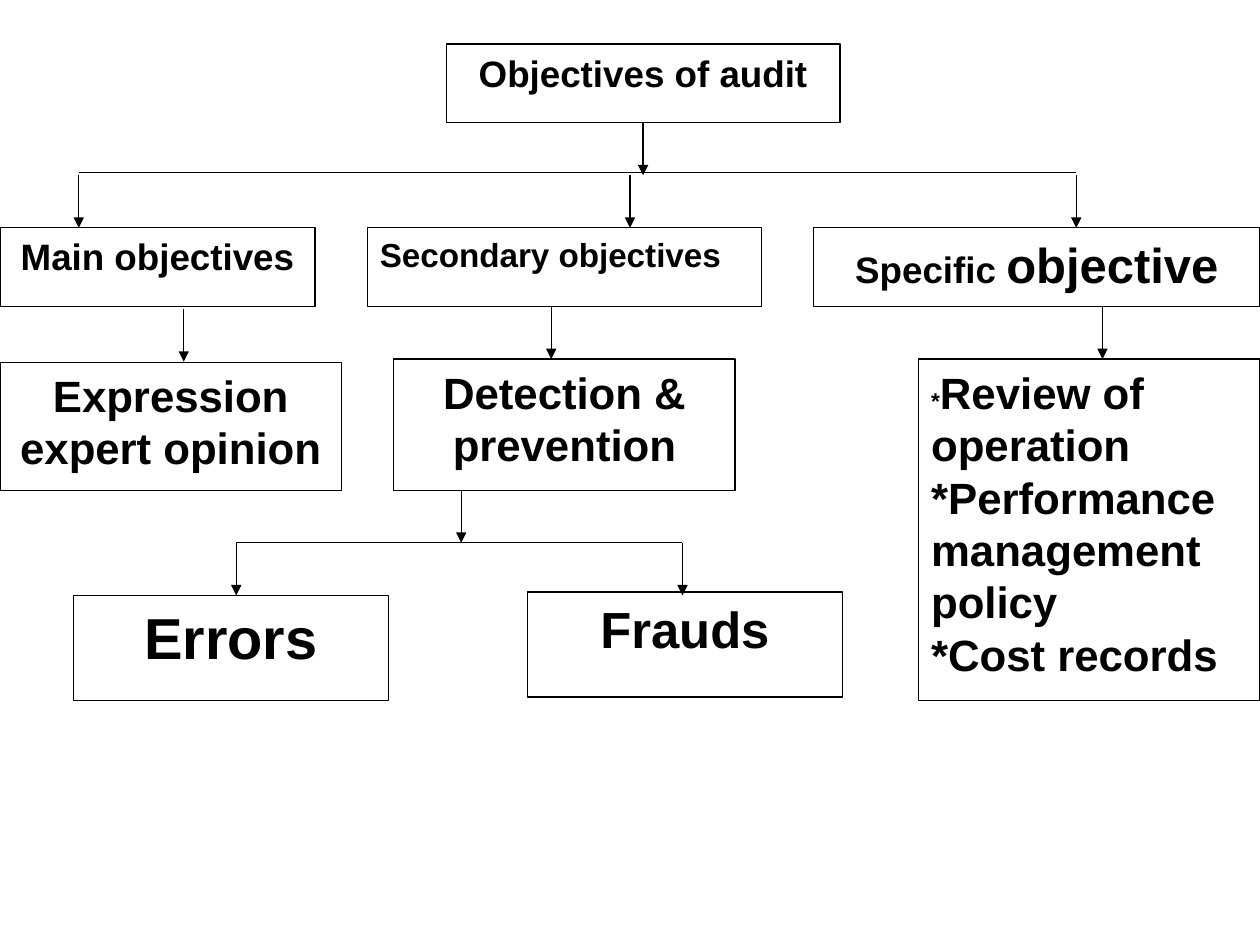
from lxml import etree
from pptx import Presentation
from pptx.dml.color import RGBColor
from pptx.enum.shapes import MSO_CONNECTOR, MSO_SHAPE
from pptx.enum.text import MSO_ANCHOR, PP_ALIGN
from pptx.oxml.ns import qn
from pptx.util import Inches, Pt

LEFT, CENTER = PP_ALIGN.LEFT, PP_ALIGN.CENTER
BOTTOM_SIDE = 2
COLORS = {"ink": "000000", "paper": "FFFFFF"}
FONT = "Arial"
LINE_WIDTH = 0.75

WIDTH, HEIGHT = 10, 7.5
UNIT = WIDTH / 48      # square grid, 48 columns across the slide
TOP = 0.35             # row 0 of the grid

# name: (column, row, columns wide, rows high), alignment, paragraphs of (text, size)
BOXES = {
    "title": ((17, 0, 15, 3), CENTER, [[("Objectives of audit", 21)]]),
    "secondary": ((14, 7, 15, 3), LEFT, [[("Secondary objectives", 19)]]),
    "main": ((0, 7, 12, 3), CENTER, [[("Main objectives", 21)]]),
    "detection": ((15, 12, 13, 5), CENTER, [[("Detection & prevention", 25)]]),
    "review": ((35, 12, 13, 13), LEFT, [
        [("*", 13), ("Review of operation", 25)],
        [("*Performance management policy", 25)],
        [("*Cost records", 25)],
    ]),
    "frauds": ((20.1, 20.87, 12, 4), CENTER, [[("Frauds", 29)]]),
    "errors": ((2.8, 21, 12, 4), CENTER, [[("Errors", 33)]]),
    "specific": ((31, 7, 17, 3), CENTER, [[("Specific ", 21), ("objective", 28)]]),
    "opinion": ((0, 12.13, 13, 4.87), CENTER, [[("Expression expert opinion", 25)]]),
}

# (column, first row, last row), pointing down
ARROWS = [
    (3, 5, 7), (24, 5, 7), (41, 5, 7),
    (21, 10, 12), (7, 10.1, 12.1), (42, 10, 12),
    (9, 19, 21), (26, 19, 21), (17.57, 17, 19),
]
TITLE_ARROW = (24.5, 3, 5)

# (first column, last column, row)
BRANCHES = [(3, 41, 4.9), (9, 26, 19)]


def across(column):
    return Inches(column * UNIT)


def down(row):
    return Inches(TOP + row * UNIT)


def color(name):
    return RGBColor.from_string(COLORS[name])


def add_box(page, cell, align, paragraphs):
    column, row, columns, rows = cell
    box = page.shapes.add_shape(MSO_SHAPE.RECTANGLE, across(column), down(row),
                                across(columns), Inches(rows * UNIT))
    box.shadow.inherit = False
    box.fill.solid()
    box.fill.fore_color.rgb = color("paper")
    box.line.color.rgb = color("ink")
    box.line.width = Pt(LINE_WIDTH)
    frame = box.text_frame
    frame.word_wrap = True
    frame.vertical_anchor = MSO_ANCHOR.TOP
    for index, spans in enumerate(paragraphs):
        para = frame.add_paragraph() if index else frame.paragraphs[0]
        para.alignment = align
        for text, size in spans:
            span = para.add_run()
            span.text = text
            span.font.name = FONT
            span.font.size = Pt(size)
            span.font.bold = True
            span.font.color.rgb = color("ink")
    return box


def add_line(page, start, end, arrow=False):
    line = page.shapes.add_connector(MSO_CONNECTOR.STRAIGHT,
                                     across(start[0]), down(start[1]),
                                     across(end[0]), down(end[1]))
    line.line.color.rgb = color("ink")
    line.line.width = Pt(LINE_WIDTH)
    properties = line._element.spPr
    if arrow:
        etree.SubElement(properties.find(qn("a:ln")), qn("a:tailEnd"), type="triangle")
    etree.SubElement(properties, qn("a:effectLst"))
    return line


def add_arrow(page, column, first, last):
    return add_line(page, (column, first), (column, last), arrow=True)


def main():
    deck = Presentation()
    deck.slide_width, deck.slide_height = Inches(WIDTH), Inches(HEIGHT)
    page = deck.slides.add_slide(deck.slide_layouts[6])

    boxes = {name: add_box(page, *content) for name, content in BOXES.items()}
    for first, last, row in BRANCHES:
        add_line(page, (first, row), (last, row))
    for arrow in ARROWS:
        add_arrow(page, *arrow)
    add_arrow(page, *TITLE_ARROW).begin_connect(boxes["title"], BOTTOM_SIDE)

    deck.save("out.pptx")


if __name__ == "__main__":
    main()
